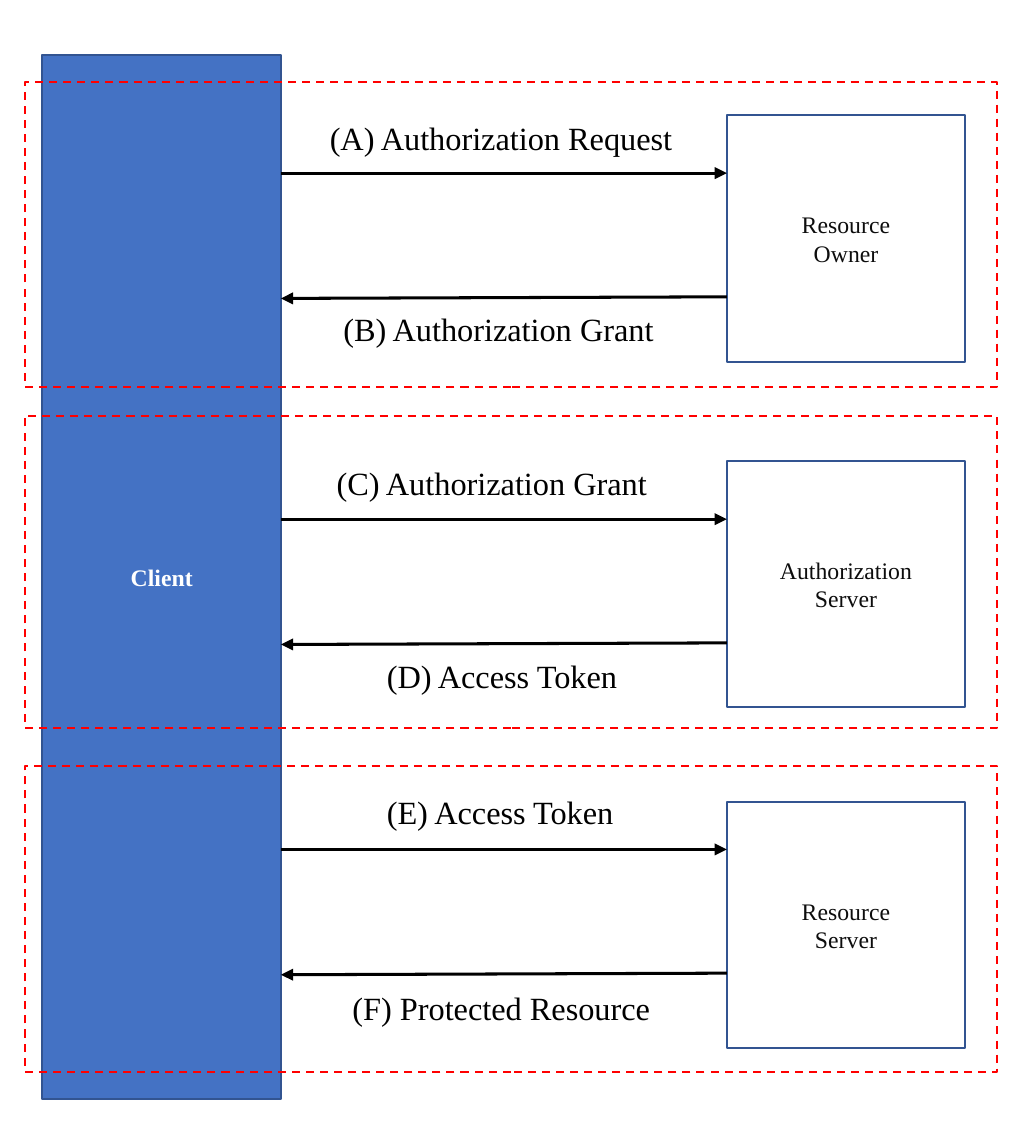
import pptx
import pptx.util
import pptx.dml.color
import pptx.enum.dml
import pptx.enum.shapes
import pptx.enum.text
import pptx.oxml.ns
import lxml.etree

Pt = pptx.util.Pt
FONT = "Times New Roman"
COLOURS = {
    "client": "4472C4", "border": "325491", "frame": "FF0000",
    "white": "FFFFFF", "ink": "000000", "party": "0D0D0D",
}

# Lengths in points
PAGE_WIDTH, PAGE_HEIGHT = 510.24, 566.93
CLIENT_BOX = (21, 27.2, 117.8, 515.5)
PARTY_LEFT, PARTY_WIDTH, PARTY_HEIGHT = 359, 117.8, 121.7
FRAME_LEFT, FRAME_WIDTH = 12.2, 480.2
LABEL_HEIGHT = 26.6
REPLY_GAP, REPLY_DROP = 61.1, 0.8

# Frame top and height; party, request line and label tops within the frame;
# labels as text, left, top, width
EXCHANGES = [
    dict(top=40.5, height=150.6, party_top=16.4, request_top=45,
         party=["Resource", "Owner"],
         labels=[("(A) Authorization Request", 155.8, 14.4, 186.5),
                 ("(B) Authorization Grant", 162.5, 108.5, 170)]),
    dict(top=205.4, height=154.1, party_top=22.2, request_top=51,
         party=["Authorization", "Server"],
         labels=[("(C) Authorization Grant", 159.2, 20, 170),
                 ("(D) Access Token", 184, 115, 129.6)]),
    dict(top=378.2, height=151.1, party_top=17.8, request_top=41.3,
         party=["Resource", "Server"],
         labels=[("(E) Access Token", 184, 9.3, 129.6),
                 ("(F) Protected Resource", 167, 106.1, 164.2)]),
]


def colour(name):
    return pptx.dml.color.RGBColor.from_string(COLOURS[name])


def write(shape, lines, size, ink, bold=False, align=None):
    frame = shape.text_frame
    frame.text = "\n".join(lines)
    for para in frame.paragraphs:
        para.alignment = align
        para.font.name = FONT
        para.font.size = Pt(size)
        para.font.bold = bold
        para.font.color.rgb = colour(ink)


def add_box(page, box, fill, border):
    shape = page.shapes.add_shape(
        pptx.enum.shapes.MSO_SHAPE.RECTANGLE, *map(Pt, box))
    shape.shadow.inherit = False
    if fill:
        shape.fill.solid()
        shape.fill.fore_color.rgb = colour(fill)
    else:
        shape.fill.background()
    shape.line.color.rgb = colour(border)
    shape.line.width = Pt(1)
    return shape


def add_actor(page, box, lines, fill, ink, bold=False):
    shape = add_box(page, box, fill, "border")
    shape.text_frame.vertical_anchor = pptx.enum.text.MSO_ANCHOR.MIDDLE
    write(shape, lines, 11.7, ink, bold, pptx.enum.text.PP_ALIGN.CENTER)


def add_arrow(page, start, end):
    arrow = page.shapes.add_connector(
        pptx.enum.shapes.MSO_CONNECTOR.STRAIGHT, *map(Pt, start + end))
    arrow.line.color.rgb = colour("ink")
    arrow.line.width = Pt(1.5)
    qn = pptx.oxml.ns.qn
    line = arrow._element.spPr.find(qn("a:ln"))
    lxml.etree.SubElement(line, qn("a:tailEnd"), type="triangle")
    lxml.etree.SubElement(arrow._element.spPr, qn("a:effectLst"))


def add_label(page, box, text):
    label = page.shapes.add_textbox(*map(Pt, box))
    label.fill.solid()
    label.fill.fore_color.rgb = colour("white")
    write(label, [text], 16, "ink")
    label.text_frame.word_wrap = False
    label.text_frame.auto_size = pptx.enum.text.MSO_AUTO_SIZE.SHAPE_TO_FIT_TEXT


def add_exchange(page, box, exchange):
    top = box[1]
    client_edge = CLIENT_BOX[0] + CLIENT_BOX[2]

    # Party on the right
    party_box = (PARTY_LEFT, top + exchange["party_top"],
                 PARTY_WIDTH, PARTY_HEIGHT)
    add_actor(page, party_box, exchange["party"], "white", "party")

    # Labels
    for text, left, offset, width in exchange["labels"]:
        add_label(page, (left, top + offset, width, LABEL_HEIGHT), text)

    # Request and reply arrows
    request = top + exchange["request_top"]
    reply = request + REPLY_GAP
    add_arrow(page, (client_edge, request), (PARTY_LEFT, request))
    add_arrow(page, (PARTY_LEFT, reply), (client_edge, reply + REPLY_DROP))

    # Dashed frame
    frame = add_box(page, box, None, "frame")
    frame.line.dash_style = pptx.enum.dml.MSO_LINE.DASH


deck = pptx.Presentation()
deck.slide_width, deck.slide_height = Pt(PAGE_WIDTH), Pt(PAGE_HEIGHT)
page = deck.slides.add_slide(deck.slide_layouts[6])

add_actor(page, CLIENT_BOX, ["Client"], "client", "white", bold=True)
for exchange in EXCHANGES:
    frame_box = (FRAME_LEFT, exchange["top"], FRAME_WIDTH, exchange["height"])
    add_exchange(page, frame_box, exchange)

deck.save("out.pptx")
